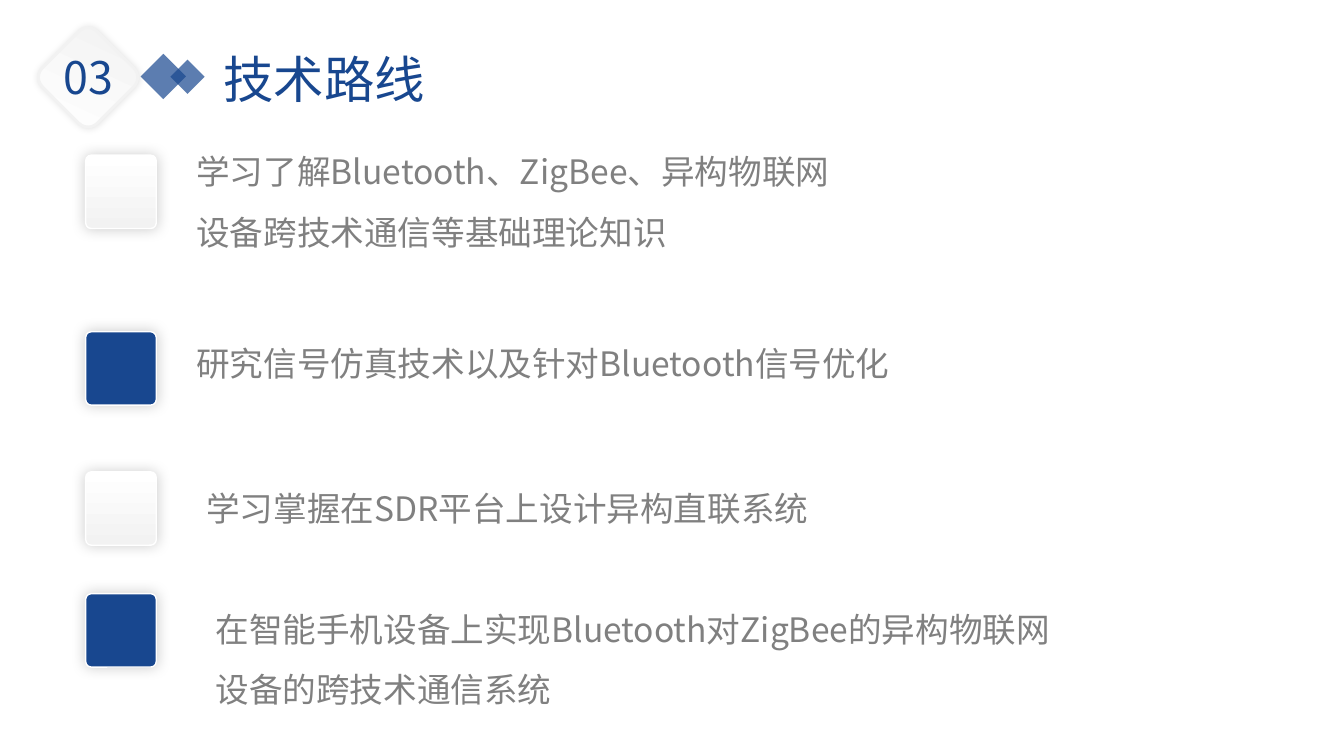
import pptx
import pptx.dml.color
import pptx.enum.shapes
import pptx.enum.text
import pptx.oxml
import pptx.oxml.ns
import pptx.util
from pptx.util import Cm

BLUE = pptx.dml.color.RGBColor(0x18, 0x47, 0x8F)
GREY = pptx.dml.color.RGBColor(0x80, 0x80, 0x80)
WHITE = pptx.dml.color.RGBColor(0xFF, 0xFF, 0xFF)
PALE = pptx.dml.color.RGBColor(0xF2, 0xF2, 0xF2)
FONT = "Noto Sans CJK SC"
NS = pptx.oxml.ns.nsdecls("a")
SHAPE = pptx.enum.shapes.MSO_SHAPE

prs = pptx.Presentation()
prs.slide_width, prs.slide_height = Cm(33.87), Cm(19.05)
s = prs.slides.add_slide(prs.slide_layouts[6])


def add_card(left, top, width, height, angle, line, line_width, blur, alpha):
    """Add a rounded card with a soft shadow; an angle of None makes it solid blue."""
    sp = s.shapes.add_shape(SHAPE.ROUNDED_RECTANGLE, Cm(left), Cm(top), Cm(width), Cm(height))
    if angle is None:
        sp.fill.solid()
        sp.fill.fore_color.rgb = BLUE
    else:
        sp.fill.gradient()
        sp.fill.gradient_angle = angle
        for stop, color in zip(sp.fill.gradient_stops, (WHITE, PALE)):
            stop.color.rgb = color
    sp.line.color.rgb = line
    sp.line.width = pptx.util.Pt(line_width)
    sp.shadow.inherit = False
    effects = sp._element.spPr.find(pptx.oxml.ns.qn("a:effectLst"))
    effects.append(pptx.oxml.parse_xml(
        f'<a:outerShdw {NS} blurRad="{pptx.util.Pt(blur)}" dist="0" dir="8100000" '
        f'algn="ctr" rotWithShape="0"><a:srgbClr val="000000">'
        f'<a:alpha val="{alpha * 1000}"/></a:srgbClr></a:outerShdw>'))
    return sp


def add_text(text, left, top, width, height, size, color, spacing=1.0, wrap=True):
    tf = s.shapes.add_textbox(Cm(left), Cm(top), Cm(width), Cm(height)).text_frame
    tf.word_wrap = wrap
    tf.auto_size = pptx.enum.text.MSO_AUTO_SIZE.SHAPE_TO_FIT_TEXT
    tf.text = text
    p = tf.paragraphs[0]
    p.line_spacing = spacing
    r = p.runs[0]
    r.font.size = pptx.util.Pt(size)
    r.font.color.rgb = color
    r.font.name = FONT
    r.font._element.append(pptx.oxml.parse_xml(f'<a:ea {NS} typeface="{FONT}"/>'))


# Heading
for left, top, side in ((3.71, 1.52, 0.81), (4.42, 1.63, 0.61)):
    diamond = s.shapes.add_shape(SHAPE.RECTANGLE, Cm(left), Cm(top), Cm(side), Cm(side))
    diamond.rotation = 225
    diamond.shadow.inherit = False
    diamond.line.fill.background()
    diamond.fill.solid()
    diamond.fill.fore_color.rgb = BLUE
    color = diamond._element.spPr.find(".//" + pptx.oxml.ns.qn("a:srgbClr"))
    color.append(pptx.oxml.parse_xml(f'<a:alpha {NS} val="70000"/>'))

badge = add_card(1.24, 0.97, 1.96, 1.96, 110, PALE, 2, 5, 11)
badge.rotation = 45
add_text("03", 1.35, 1.12, 1.85, 1.63, 32, BLUE, wrap=False)
add_text("技术路线", 5.38, 1.09, 8.26, 1.8, 36, BLUE)

# Steps: tile top, tile gradient angle, text left, top, width, height, text
steps = (
    (3.91, 270, 4.7, 3.18, 16.92, 3.33, "学习了解Bluetooth、ZigBee、异构物联网设备跨技术通信等基础理论知识"),
    (8.36, None, 4.7, 8.0, 21.56, 1.78, "研究信号仿真技术以及针对Bluetooth信号优化"),
    (11.89, 270, 4.95, 11.66, 21.56, 1.78, "学习掌握在SDR平台上设计异构直联系统"),
    (14.96, None, 5.18, 14.71, 21.56, 3.33, "在智能手机设备上实现Bluetooth对ZigBee的异构物联网设备的跨技术通信系统"),
)
for tile_top, angle, left, top, width, height, text in steps:
    tile = add_card(2.16, tile_top, 1.78, 1.85, angle, WHITE, 1, 10, 20)
    tile.adjustments[0] = 0.08
    add_text(text, left, top, width, height, 24, GREY, spacing=1.5)

prs.save("out.pptx")
